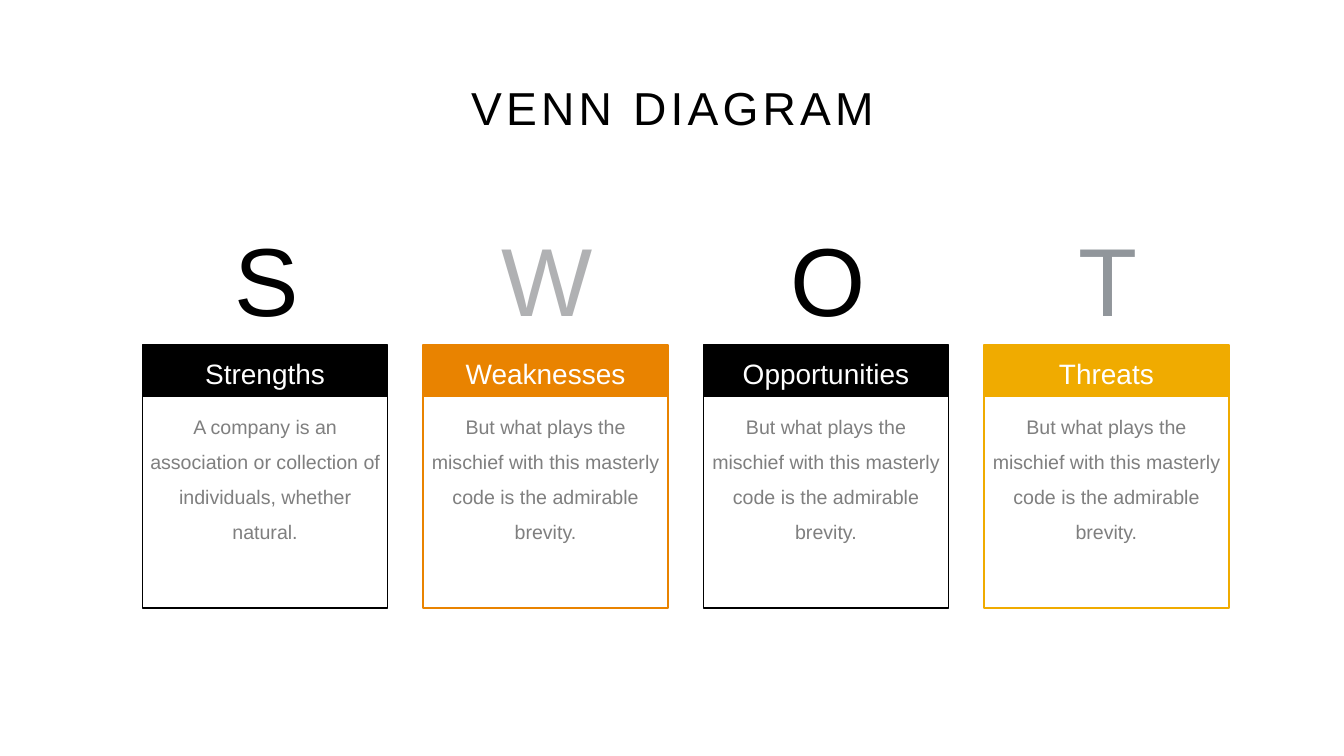
from pptx import Presentation
from pptx.dml.color import RGBColor
from pptx.enum.shapes import MSO_SHAPE
from pptx.enum.text import MSO_ANCHOR, MSO_AUTO_SIZE, PP_ALIGN
from pptx.util import Inches, Pt

RECTANGLE = MSO_SHAPE.RECTANGLE
TOP, MIDDLE, BOTTOM = MSO_ANCHOR.TOP, MSO_ANCHOR.MIDDLE, MSO_ANCHOR.BOTTOM
GROW = MSO_AUTO_SIZE.SHAPE_TO_FIT_TEXT
CENTER = PP_ALIGN.CENTER

WIDTH, HEIGHT = 26.67, 15
LEFT, PITCH, CARD_WIDTH = 2.83, 5.565, 4.86
LETTER_SHIFT = 0.04
LETTER_ROW = (3.88, 2.8)
HEADING_ROW = (6.84, 1.03)
FRAME_ROW = (7.87, 4.19)
BODY_ROW = (7.87, 3)
BREVITY = "But what plays the mischief with this masterly code is the admirable brevity."
CARDS = [
    ("S", "000000", "Strengths", "000000",
     "A company is an association or collection of individuals, whether natural."),
    ("W", "B0B1B3", "Weaknesses", "E98300", BREVITY),
    ("O", "000000", "Opportunities", "000000", BREVITY),
    ("T", "91969B", "Threats", "F0AB00", BREVITY),
]


def color(value):
    """Turn a hex string into a colour."""
    return RGBColor.from_string(value)


def write(shape, text, size, fill, anchor=TOP, line_spacing=None, inset=0.13,
          wrap=True, tracking=None):
    """Put one centred, formatted paragraph into a shape."""
    frame = shape.text_frame
    frame.word_wrap = wrap
    frame.auto_size = GROW
    frame.vertical_anchor = anchor
    frame.margin_left = frame.margin_right = Inches(inset)
    frame.margin_top = frame.margin_bottom = Inches(inset)
    paragraph = frame.paragraphs[0]
    paragraph.alignment = CENTER
    if line_spacing:
        paragraph.line_spacing = line_spacing
    run = paragraph.add_run()
    run.text = text
    run.font.name = "Arial"
    run.font.size = Pt(size)
    run.font.color.rgb = color(fill)
    if tracking:
        run.font._element.set("spc", str(tracking * 100))


class SwotSlide:
    """Hold the slide, its column grid and its card style."""

    def __init__(self, presentation):
        """Add a slide with a title placeholder."""
        self.slide = presentation.slides.add_slide(presentation.slide_layouts[5])

    def place(self, column, row, shift=0):
        """Return the box of a grid cell."""
        top, height = row
        left = LEFT + column * PITCH + shift
        return [Inches(length) for length in (left, top, CARD_WIDTH, height)]

    def title(self, text):
        """Fill the title placeholder."""
        shape = self.slide.shapes.title
        shape.left, shape.top = Inches(9.22), Inches(1.52)
        shape.width, shape.height = Inches(8.26), Inches(1.21)
        write(shape, text, 66, "000000", inset=0.05, wrap=False, tracking=6)

    def box(self, shapes, column, row, line, fill=None):
        """Draw an outlined rectangle, filled if a colour is given."""
        shape = shapes.add_shape(RECTANGLE, *self.place(column, row))
        shape.shadow.inherit = False
        shape.line.color.rgb = color(line)
        shape.line.width = Pt(2.25)
        if fill:
            shape.fill.solid()
            shape.fill.fore_color.rgb = color(fill)
        else:
            shape.fill.background()
        return shape

    def heading(self, column, text, accent):
        """Draw the coloured bar of a card."""
        shape = self.box(self.slide.shapes, column, HEADING_ROW, accent, accent)
        write(shape, text, 40, "FFFFFF", anchor=BOTTOM, line_spacing=Pt(60))

    def body(self, column, text, accent):
        """Draw the grouped frame and text of a card."""
        shapes = self.slide.shapes.add_group_shape().shapes
        self.box(shapes, column, FRAME_ROW, accent)
        text_box = shapes.add_textbox(*self.place(column, BODY_ROW))
        write(text_box, text, 28, "7F7F7F", line_spacing=Pt(50))

    def letter(self, column, text, fill):
        """Write the large initial above a card."""
        cell = self.place(column, LETTER_ROW, LETTER_SHIFT)
        text_box = self.slide.shapes.add_textbox(*cell)
        write(text_box, text, 138, fill, anchor=MIDDLE, line_spacing=1.2)


def main():
    """Build and save the presentation."""
    presentation = Presentation()
    presentation.slide_width = Inches(WIDTH)
    presentation.slide_height = Inches(HEIGHT)
    swot = SwotSlide(presentation)
    swot.title("VENN DIAGRAM")
    for column, (initial, initial_color, name, accent, text) in enumerate(CARDS):
        swot.heading(column, name, accent)
        swot.body(column, text, accent)
        swot.letter(column, initial, initial_color)
    presentation.save("out.pptx")


if __name__ == "__main__":
    main()
